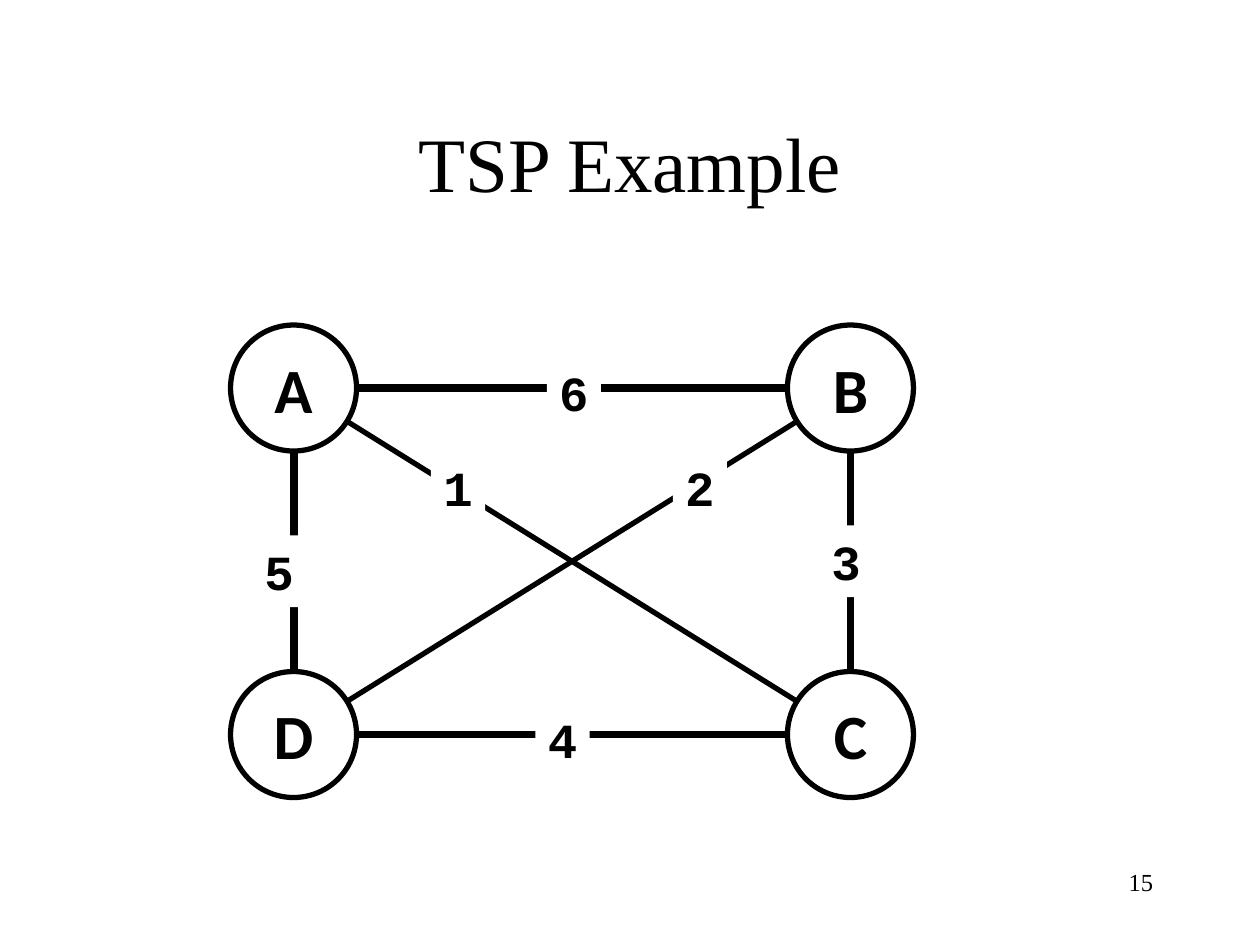
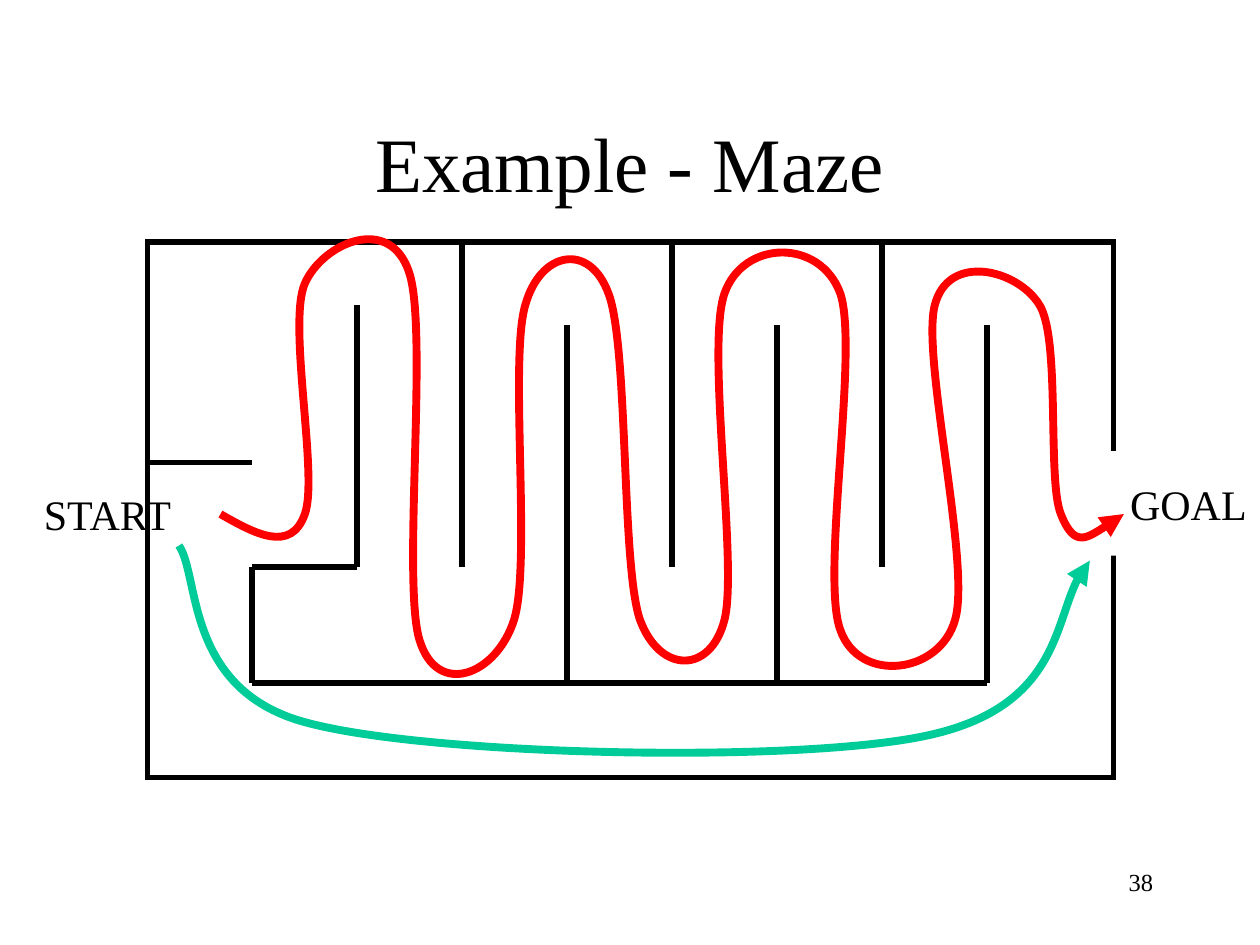
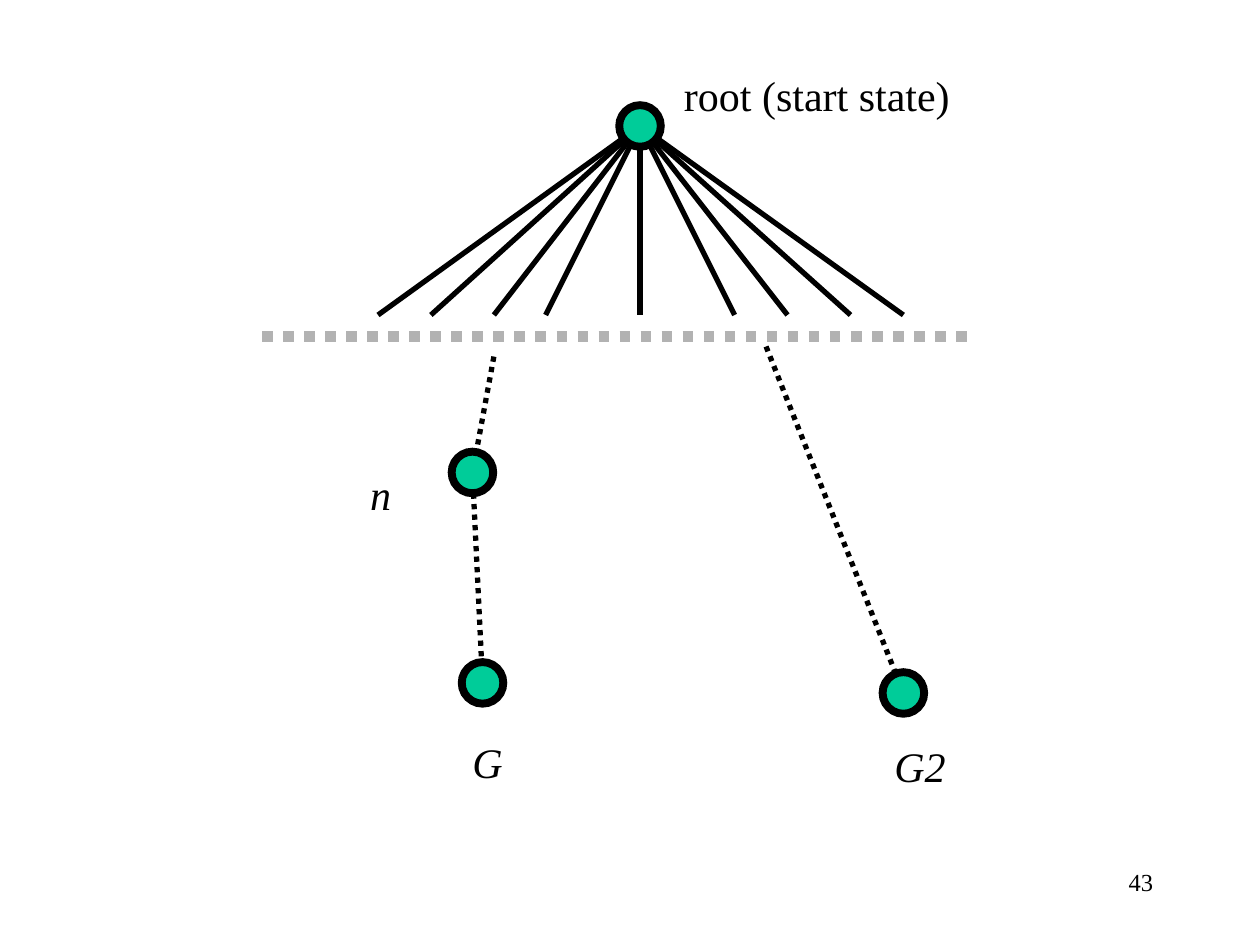
from pptx import Presentation
from pptx.dml.color import RGBColor
from pptx.enum.dml import MSO_LINE
from pptx.enum.shapes import MSO_CONNECTOR, MSO_SHAPE
from pptx.enum.text import MSO_ANCHOR, MSO_AUTO_SIZE, PP_ALIGN
from pptx.oxml.ns import qn
from pptx.util import Inches, Pt
from lxml.etree import SubElement

COLORS = {
    "ink": "000000",
    "paper": "FFFFFF",
    "green": "00CC99",
    "red": "FF0000",
    "gray": "B2B2B2",
}
SERIF = "Times New Roman"
THIN, THICK, FRONTIER = 3, 4.5, 6

LONG_ROUTE = [
    (1.75, 4.08),
    (2.03, 4.24), (2.31, 4.39), (2.42, 4.08),
    (2.53, 3.78), (2.28, 2.57), (2.42, 2.25),
    (2.56, 1.93), (3.1, 1.69), (3.25, 2.17),
    (3.4, 2.64), (3.19, 4.63), (3.33, 5.08),
    (3.47, 5.54), (3.94, 5.36), (4.08, 4.92),
    (4.22, 4.47), (4.04, 2.85), (4.17, 2.42),
    (4.29, 1.99), (4.68, 1.92), (4.83, 2.33),
    (4.99, 2.75), (4.93, 4.49), (5.08, 4.92),
    (5.24, 5.35), (5.64, 5.35), (5.75, 4.92),
    (5.86, 4.49), (5.6, 2.76), (5.75, 2.33),
    (5.9, 1.9), (6.51, 1.89), (6.67, 2.33),
    (6.82, 2.78), (6.51, 4.57), (6.67, 5),
    (6.82, 5.43), (7.46, 5.35), (7.58, 4.92),
    (7.71, 4.49), (7.31, 2.83), (7.42, 2.42),
    (7.53, 2), (8.08, 2.14), (8.25, 2.42),
    (8.42, 2.69), (8.31, 3.81), (8.42, 4.08),
    (8.53, 4.36), (8.72, 4.22), (8.92, 4.08),
]
SHORT_ROUTE = [
    (1.42, 4.33),
    (1.59, 4.57), (1.46, 5.49), (2.45, 5.74),
    (3.44, 6), (6.32, 6.06), (7.35, 5.84),
    (8.39, 5.62), (8.38, 4.74), (8.65, 4.45),
]


def rgb(name):
    """Return the named colour."""
    return RGBColor.from_string(COLORS[name])


def write(shape, text, size, font=SERIF, bold=False, italic=False,
          align=PP_ALIGN.LEFT, anchor=MSO_ANCHOR.TOP, wrap=False):
    """Put one formatted line of text into a shape."""
    frame = shape.text_frame
    frame.text = text
    frame.word_wrap = wrap
    frame.vertical_anchor = anchor
    para = frame.paragraphs[0]
    para.alignment = align
    span = para.runs[0]
    span.font.name = font
    span.font.size = Pt(size)
    span.font.bold = bold
    span.font.italic = italic
    span.font.color.rgb = rgb("ink")


def add_shape(page, kind, left, top, width, height, fill=None, weight=None):
    """Add a preset shape with an optional fill and black, sharp-cornered outline."""
    shape = page.shapes.add_shape(
        kind, Inches(left), Inches(top), Inches(width), Inches(height))
    shape.shadow.inherit = False
    if fill:
        shape.fill.solid()
        shape.fill.fore_color.rgb = rgb(fill)
    else:
        shape.fill.background()
    if weight:
        shape.line.color.rgb = rgb("ink")
        shape.line.width = Pt(weight)
        SubElement(shape.element.spPr.find(qn("a:ln")), qn("a:miter"), lim="800000")
    else:
        shape.line.fill.background()
    return shape


def add_circle(page, center, diameter, fill, weight):
    """Add an outlined circle around a centre."""
    left, top = (value - diameter / 2 for value in center)
    return add_shape(page, MSO_SHAPE.OVAL, left, top, diameter, diameter, fill, weight)


def add_line(page, start, end, color="ink", weight=THIN, dotted=False):
    """Add a straight line between two points."""
    line = page.shapes.add_connector(
        MSO_CONNECTOR.STRAIGHT, *(Inches(value) for value in (*start, *end)))
    line.line.color.rgb = rgb(color)
    line.line.width = Pt(weight)
    if dotted:
        line.line.dash_style = MSO_LINE.ROUND_DOT
    SubElement(line.element.spPr, qn("a:effectLst"))


def add_route(page, points, color):
    """Add a curved arrow from a start point and triples of Bezier points."""
    start, *rest = [(Inches(x), Inches(y)) for x, y in points]
    builder = page.shapes.build_freeform(*start)
    builder.add_line_segments(rest, close=False)
    route = builder.convert_to_shape()
    outline = next(route.element.iter(qn("a:path")))
    segments = outline.findall(qn("a:lnTo"))
    for first in range(0, len(segments), 3):
        curve = SubElement(outline, qn("a:cubicBezTo"))
        for segment in segments[first:first + 3]:
            curve.append(segment[0])
            outline.remove(segment)
    route.shadow.inherit = False
    route.fill.background()
    route.line.color.rgb = rgb(color)
    route.line.width = Pt(THICK)
    SubElement(route.element.spPr.find(qn("a:ln")), qn("a:tailEnd"), type="triangle")


def add_text(page, text, left, top, width, height, size, **style):
    """Add a wrapping text box."""
    box = page.shapes.add_textbox(
        Inches(left), Inches(top), Inches(width), Inches(height))
    write(box, text, size, wrap=True, **style)
    return box


def add_label(page, text, left, top, width, italic=False):
    """Add a one-line label with spare room on its right."""
    box = add_text(page, text, left, top, width, 0.5, 24, italic=italic)
    box.text_frame.margin_right = 0


def add_page(deck, number, title=None):
    """Add a blank page with its number and optional title."""
    page = deck.slides.add_slide(deck.slide_layouts[6])
    page.background.fill.solid()
    page.background.fill.fore_color.rgb = rgb("paper")
    add_text(page, str(number), 7.17, 6.83, 2.08, 0.5, 14, align=PP_ALIGN.RIGHT)
    if title:
        add_text(page, title, 0.75, 0.66, 8.5, 1.25, 44,
                 align=PP_ALIGN.CENTER, anchor=MSO_ANCHOR.MIDDLE)
    return page


def build_tsp(deck):
    """Draw four cities joined by weighted edges."""
    page = add_page(deck, 15, "TSP Example")
    left, right, top, bottom = 2.33, 6.75, 3.08, 5.83
    cities = {"A": (left, top), "B": (right, top),
              "C": (right, bottom), "D": (left, bottom)}
    add_line(page, cities["A"], cities["C"])
    add_line(page, cities["B"], cities["D"])
    add_shape(page, MSO_SHAPE.RECTANGLE, left, top, right - left, bottom - top,
              weight=THICK)
    for name, center in cities.items():
        city = add_circle(page, center, 1, "paper", THIN)
        write(city, name, 36, "Calibri", bold=True,
              align=PP_ALIGN.CENTER, anchor=MSO_ANCHOR.MIDDLE)
    costs = {"4": (4.25, 5.58), "6": (4.34, 2.83), "3": (6.5, 4.17),
             "5": (2, 4.25), "1": (3.42, 3.58), "2": (5.34, 3.58)}
    for cost, corner in costs.items():
        tag = add_shape(page, MSO_SHAPE.RECTANGLE, *corner, 0.43, 0.57, "paper")
        write(tag, cost, 28, "Courier New", bold=True)
        tag.text_frame.auto_size = MSO_AUTO_SIZE.SHAPE_TO_FIT_TEXT


def build_maze(deck):
    """Draw a maze with a long and a short route."""
    page = add_page(deck, 38, "Example - Maze")
    left, top, floor, ledge = 1.17, 1.92, 5.42, 4.5
    columns = [2 + step * 5 / 6 for step in range(8)]
    add_shape(page, MSO_SHAPE.RECTANGLE, left, top, 7.67, 4.25, weight=THIN)
    add_line(page, (left, 3.67), (columns[0], 3.67))
    add_line(page, (columns[0], ledge), (columns[1], ledge))
    add_line(page, (columns[1], 2.42), (columns[1], ledge))
    for x in columns[2::2]:
        add_line(page, (x, top), (x, ledge))
    for x in columns[3::2]:
        add_line(page, (x, 2.58), (x, floor))
    add_line(page, (columns[0], floor), (columns[-1], floor))
    add_line(page, (columns[0], ledge), (columns[0], floor))
    add_shape(page, MSO_SHAPE.RECTANGLE, 8.42, 3.58, 0.83, 0.83, "paper")
    add_label(page, "START", 0.25, 3.83, 1.25)
    add_label(page, "GOAL", 8.87, 3.75, 1.12)
    add_route(page, LONG_ROUTE, "red")
    add_route(page, SHORT_ROUTE, "green")


def build_tree(deck):
    """Draw a search tree with its frontier and two goals."""
    page = add_page(deck, 43)
    root, node, goal, second_goal = (5.08, 1), (3.75, 3.75), (3.83, 5.42), (7.17, 5.5)
    for start, end in [((6.08, 2.75), second_goal), (node, goal), ((3.92, 2.83), node)]:
        add_line(page, start, end, dotted=True)
    for x in (3, 3.42, 3.92, 4.33, 5.08, 5.83, 6.25, 6.75, 7.17):
        add_line(page, root, (x, 2.5))
    add_line(page, (2.08, 2.67), (7.75, 2.67), "gray", FRONTIER, dotted=True)
    for center in (root, node, goal, second_goal):
        add_circle(page, center, 0.33, "green", THICK)
    add_label(page, "root (start state)", 5.33, 0.5, 2.31)
    add_label(page, "n", 2.84, 3.67, 0.36, italic=True)
    add_label(page, "G", 3.65, 5.8, 0.44, italic=True)
    add_label(page, "G2", 7, 5.83, 0.61, italic=True)


def main():
    """Build and save the deck."""
    deck = Presentation()
    deck.slide_width, deck.slide_height = Inches(10), Inches(7.5)
    build_tsp(deck)
    build_maze(deck)
    build_tree(deck)
    deck.save("out.pptx")


if __name__ == "__main__":
    main()
